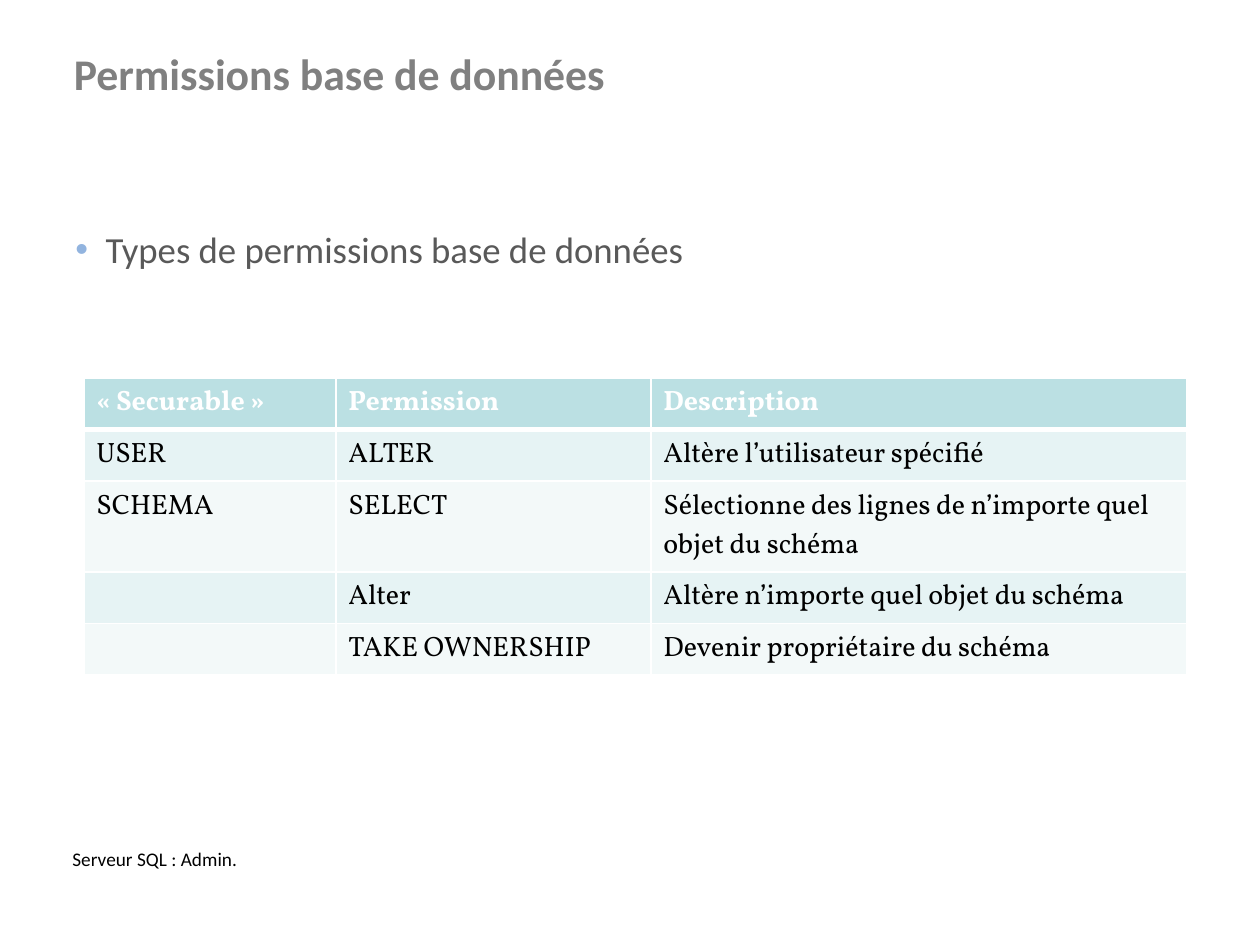
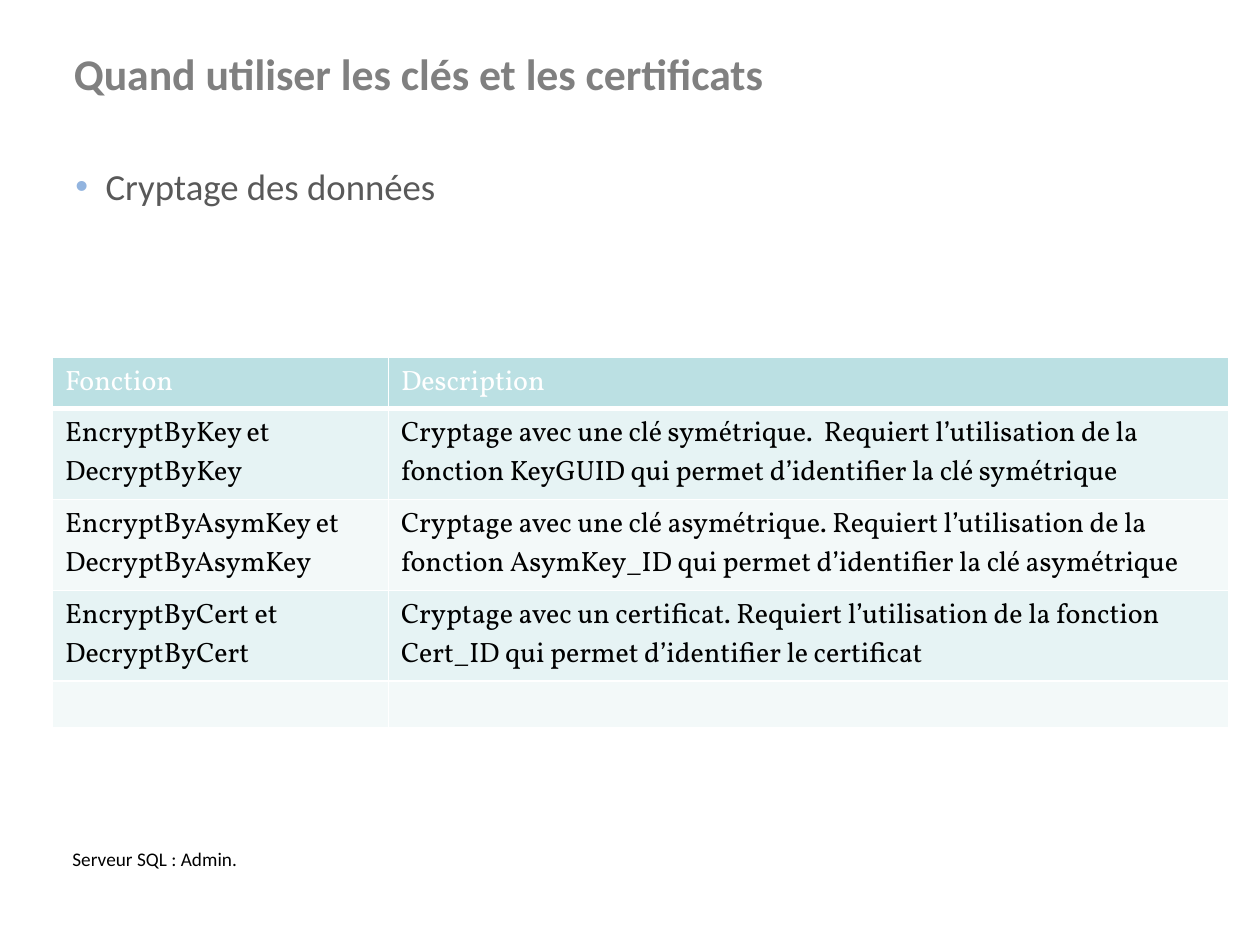
from dataclasses import dataclass

from lxml import etree
from pptx import Presentation
from pptx.dml.color import RGBColor
from pptx.enum.text import MSO_ANCHOR
from pptx.oxml.ns import qn
from pptx.slide import Slide
from pptx.table import _Cell as Cell
from pptx.text.text import _Paragraph as Paragraph
from pptx.util import Cm, Pt

# Shared look
WHITE = RGBColor(0xFF, 0xFF, 0xFF)
BLACK = RGBColor(0x00, 0x00, 0x00)
TITLE_GREY = RGBColor(0x80, 0x80, 0x80)
BODY_GREY = RGBColor(0x59, 0x59, 0x59)
BULLET_BLUE = RGBColor(0x92, 0xB4, 0xDF)
HEADER_TEAL = RGBColor(0xBB, 0xE0, 0xE3)
BANDS = (RGBColor(0xE6, 0xF3, 0xF4), RGBColor(0xF3, 0xF9, 0xF9))

SANS, SERIF = "Calibri", "Vollkorn"
FOOTER = "Serveur SQL : Admin."
THIN, THICK = Pt(0.96), Pt(3)
EMPTY, ONE_LINE, TWO_LINES = 0.94, 1.04, 1.83  # row heights in cm


@dataclass(frozen=True)
class TextStyle:
    size: float
    color: RGBColor
    font: str = SANS
    bold: bool = False


TITLE_STYLE = TextStyle(25, TITLE_GREY, bold=True)
TOPIC_STYLE = TextStyle(21, BODY_GREY)
FOOTER_STYLE = TextStyle(11, BLACK)
CELL_STYLE = TextStyle(16, BLACK, SERIF)


@dataclass(frozen=True)
class Box:
    """Position, size and insets in centimetres."""
    left: float
    top: float
    width: float
    height: float
    inset_x: float = 0.25
    inset_y: float = 0.13


TITLE_BOX = Box(1.24, 0.81, 22.89, 2.01)
FOOTER_BOX = Box(1.24, 16.97, 7.01, 1.09, inset_x=0.22, inset_y=0.11)


@dataclass(frozen=True)
class Grid:
    left: float
    top: float
    columns: tuple[float, ...]
    heights: tuple[float, ...]
    rows: tuple[tuple[str, ...], ...]
    bold_header: bool


@dataclass(frozen=True)
class Page:
    title: str
    topic: str
    topic_box: Box
    grid: Grid


PAGES = (
    Page(
        "Permissions base de données",
        "Types de permissions base de données",
        Box(1.27, 4.45, 22.86, 3.38),
        Grid(
            1.69, 7.62, (5.08, 6.35, 10.8),
            (ONE_LINE, ONE_LINE, TWO_LINES, ONE_LINE, ONE_LINE),
            (
                ("« Securable »", "Permission", "Description"),
                ("USER", "ALTER", "Altère l’utilisateur spécifié"),
                ("SCHEMA", "SELECT",
                 "Sélectionne des lignes de n’importe quel objet du schéma"),
                ("", "Alter", "Altère n’importe quel objet du schéma"),
                ("", "TAKE OWNERSHIP", "Devenir propriétaire du schéma"),
            ),
            bold_header=True,
        ),
    ),
    Page(
        "Quand utiliser les clés et les certificats",
        "Cryptage des données",
        Box(1.27, 3.18, 22.86, 13.79),
        Grid(
            1.06, 7.2, (6.77, 16.93),
            (ONE_LINE, TWO_LINES, TWO_LINES, TWO_LINES, EMPTY),
            (
                ("Fonction", "Description"),
                ("EncryptByKey et DecryptByKey",
                 "Cryptage avec une clé symétrique.  Requiert l’utilisation de la "
                 "fonction KeyGUID qui permet d’identifier la clé symétrique"),
                ("EncryptByAsymKey et DecryptByAsymKey",
                 "Cryptage avec une clé asymétrique. Requiert l’utilisation de la "
                 "fonction AsymKey_ID qui permet d’identifier la clé asymétrique"),
                ("EncryptByCert et DecryptByCert",
                 "Cryptage avec un certificat. Requiert l’utilisation de la fonction "
                 "Cert_ID qui permet d’identifier le certificat"),
                ("", ""),
            ),
            bold_header=False,
        ),
    ),
)


def apply_style(paragraph: Paragraph, style: TextStyle) -> None:
    font = paragraph.font
    font.name, font.size, font.bold = style.font, Pt(style.size), style.bold
    font.color.rgb = style.color


def add_bullet(paragraph: Paragraph) -> None:
    props = paragraph._p.get_or_add_pPr()
    indent = Cm(0.61)
    props.set("marL", str(indent))
    props.set("indent", str(-indent))
    color = etree.SubElement(props, qn("a:buClr"))
    etree.SubElement(color, qn("a:srgbClr"), val=str(BULLET_BLUE))
    etree.SubElement(props, qn("a:buSzPct"), val="99000")
    etree.SubElement(props, qn("a:buFont"), typeface="Arial")
    etree.SubElement(props, qn("a:buChar"), char="•")


def add_text(slide: Slide, box: Box, text: str, style: TextStyle,
             bullet: bool = False) -> None:
    frame = slide.shapes.add_textbox(
        Cm(box.left), Cm(box.top), Cm(box.width), Cm(box.height)).text_frame
    frame.word_wrap = True
    frame.vertical_anchor = MSO_ANCHOR.TOP
    frame.margin_left = frame.margin_right = Cm(box.inset_x)
    frame.margin_top = frame.margin_bottom = Cm(box.inset_y)
    paragraph = frame.paragraphs[0]
    paragraph.text = text
    if bullet:
        add_bullet(paragraph)
    apply_style(paragraph, style)


def set_borders(cell: Cell, top: int, bottom: int) -> None:
    props = cell._tc.get_or_add_tcPr()
    for side, width in (("L", THIN), ("R", THIN), ("T", top), ("B", bottom)):
        line = etree.SubElement(props, qn(f"a:ln{side}"), w=str(width))
        fill = etree.SubElement(line, qn("a:solidFill"))
        etree.SubElement(fill, qn("a:srgbClr"), val=str(WHITE))


def add_grid(slide: Slide, grid: Grid) -> None:
    table = slide.shapes.add_table(
        len(grid.rows), len(grid.columns), Cm(grid.left), Cm(grid.top),
        Cm(sum(grid.columns)), Cm(sum(grid.heights))).table
    for column, width in zip(table.columns, grid.columns):
        column.width = Cm(width)
    for row, height in zip(table.rows, grid.heights):
        row.height = Cm(height)

    header_style = TextStyle(16, WHITE, SERIF, grid.bold_header)
    for r, texts in enumerate(grid.rows):
        is_header = r == 0
        for c, text in enumerate(texts):
            cell = table.cell(r, c)
            # The thick rule lies between the header and the first row
            set_borders(cell, THICK if r == 1 else THIN, THICK if is_header else THIN)
            cell.fill.solid()
            cell.fill.fore_color.rgb = HEADER_TEAL if is_header else BANDS[(r - 1) % 2]
            paragraph = cell.text_frame.paragraphs[0]
            if text:
                paragraph.text = text
                apply_style(paragraph, header_style if is_header else CELL_STYLE)
            else:
                # Empty cells keep the text size so that their row stays low
                etree.SubElement(paragraph._p, qn("a:endParaRPr"), sz="1600")


def add_page(presentation: Presentation, page: Page) -> None:
    slide = presentation.slides.add_slide(presentation.slide_layouts[6])
    add_text(slide, TITLE_BOX, page.title, TITLE_STYLE)
    add_text(slide, page.topic_box, page.topic, TOPIC_STYLE, bullet=True)
    add_text(slide, FOOTER_BOX, FOOTER, FOOTER_STYLE)
    add_grid(slide, page.grid)


def main() -> None:
    presentation = Presentation()
    presentation.slide_width, presentation.slide_height = Cm(25.4), Cm(19.05)
    for page in PAGES:
        add_page(presentation, page)
    presentation.save("out.pptx")


if __name__ == "__main__":
    main()
